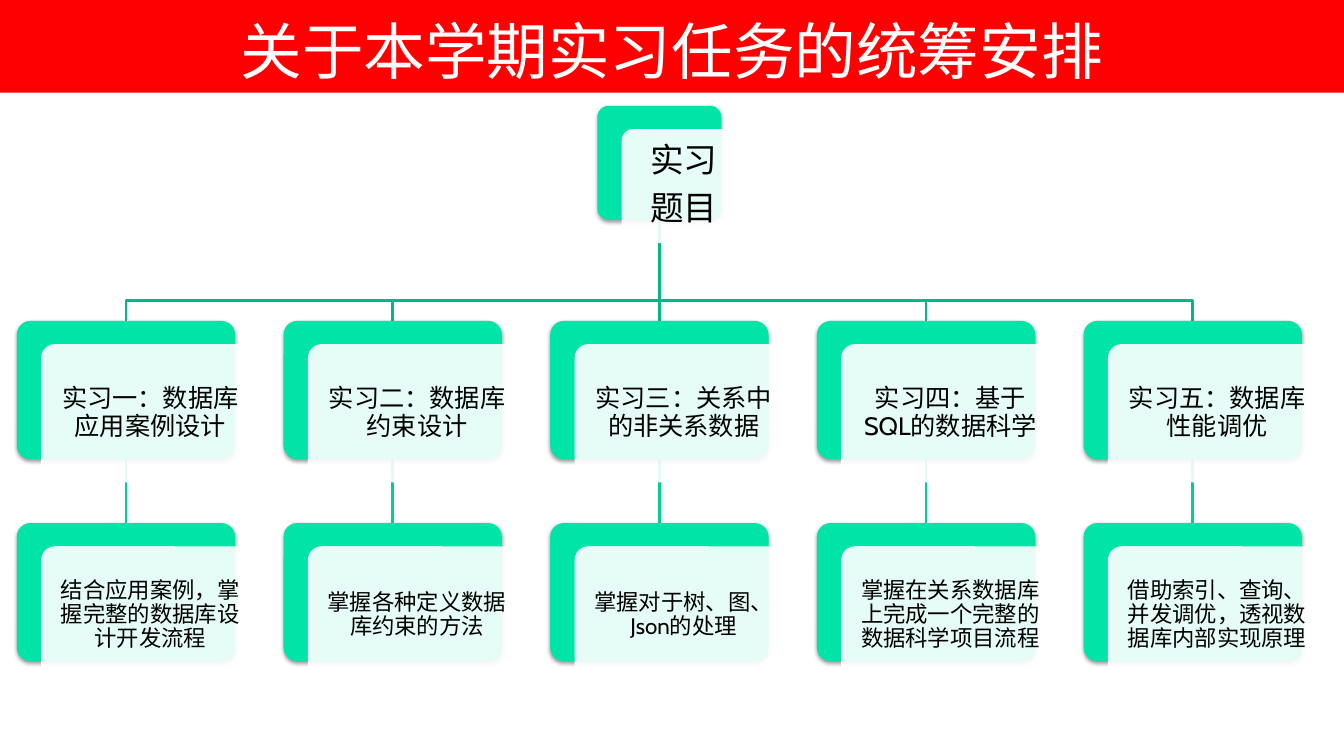
from lxml.etree import SubElement
from pptx import Presentation
from pptx.dml.color import RGBColor
from pptx.enum.shapes import MSO_CONNECTOR, MSO_SHAPE
from pptx.enum.text import MSO_ANCHOR as Anchor, PP_ALIGN as Align
from pptx.oxml.ns import qn
from pptx.util import Pt

COLORS = {
    "banner": "FF0000",
    "white": "FFFFFF",
    "text": "000000",
    "card": "00E4A8",
    "root_link": "00B787",
    "goal_link": "00CF98",
}
FONT = "Cabin"
TITLE = "关于本学期实习任务的统筹安排"
ROOT_LINES = ["实习", "题目"]
TASKS = [
    ("实习一：数据库应用案例设计", "结合应用案例，掌握完整的数据库设计开发流程"),
    ("实习二：数据库约束设计", "掌握各种定义数据库约束的方法"),
    ("实习三：关系中的非关系数据", "掌握对于树、图、Json的处理"),
    ("实习四：基于SQL的数据科学", "掌握在关系数据库上完成一个完整的数据科学项目流程"),
    ("实习五：数据库性能调优", "借助索引、查询、并发调优，透视数据库内部实现原理"),
]

SLIDE_W, SLIDE_H = 960, 540
CARD_W, CARD_H = 156, 98.8
ROOT_W, ROOT_H = 88.6, 81.4
FIRST_LEFT, COLUMN_STEP = 12, 190.5
ROOT_TOP, TASK_TOP, GOAL_TOP = 75.6, 229.2, 373.6
BRANCH_Y = 214.6
PANEL_DX, PANEL_DY = 17.4, 16.6


def color(name):
    return RGBColor.from_string(COLORS[name])


def add_box(slide, kind, left, top, width, height, fill):
    shape = slide.shapes.add_shape(kind, Pt(left), Pt(top), Pt(width), Pt(height))
    shape.shadow.inherit = False
    shape.fill.solid()
    shape.fill.fore_color.rgb = color(fill)
    shape.line.fill.background()
    return shape


def write_text(shape, lines, size, text_color, anchor, space_after=0):
    frame = shape.text_frame
    frame.word_wrap = True
    frame.vertical_anchor = anchor
    frame.text = "\n".join(lines)
    for paragraph in frame.paragraphs:
        paragraph.alignment = Align.CENTER
        paragraph.line_spacing = 0.9
        paragraph.space_after = Pt(space_after)
        paragraph.font.size = Pt(size)
        paragraph.font.name = FONT
        paragraph.font.color.rgb = color(text_color)


def add_shadow(shape):
    effects = shape._element.spPr.find(qn("a:effectLst"))
    shadow = SubElement(effects, qn("a:outerShdw"), blurRad=str(Pt(3.1)),
                        dist=str(Pt(1.6)), dir="5400000", rotWithShape="0")
    shade = SubElement(shadow, qn("a:srgbClr"), val=COLORS["text"])
    SubElement(shade, qn("a:alpha"), val="38000")


def add_card(slide, left, top, width, height, lines, size, inset):
    """Add a green card with a translucent text panel offset to its lower right."""
    back = add_box(slide, MSO_SHAPE.ROUNDED_RECTANGLE, left, top, width, height, "card")
    add_shadow(back)
    panel = add_box(slide, MSO_SHAPE.ROUNDED_RECTANGLE, left + PANEL_DX,
                    top + PANEL_DY, width, height, "white")
    panel_color = panel._element.spPr.find(qn("a:solidFill")).find(qn("a:srgbClr"))
    SubElement(panel_color, qn("a:alpha"), val="90000")
    for shape in (back, panel):
        shape.adjustments[0] = 0.1
    frame = panel.text_frame
    frame.margin_left = frame.margin_right = Pt(inset)
    frame.margin_top = frame.margin_bottom = Pt(inset)
    write_text(panel, lines, size, "text", Anchor.MIDDLE, space_after=0.35 * size)


def style_line(line, line_color):
    line.color.rgb = color(line_color)
    line.width = Pt(2)


def add_vertical_link(slide, x, top, bottom, line_color):
    link = slide.shapes.add_connector(MSO_CONNECTOR.STRAIGHT,
                                      Pt(x), Pt(top), Pt(x), Pt(bottom))
    SubElement(link._element.spPr, qn("a:effectLst"))
    style_line(link.line, line_color)


def add_branch(slide, root_x, task_x):
    """Link the root to a task with an elbow, or straight down when aligned."""
    root_bottom = ROOT_TOP + ROOT_H
    if task_x == root_x:
        add_vertical_link(slide, root_x, root_bottom, TASK_TOP, "root_link")
        return
    corners = [(root_x, BRANCH_Y), (task_x, BRANCH_Y), (task_x, TASK_TOP)]
    builder = slide.shapes.build_freeform(Pt(root_x), Pt(root_bottom))
    builder.add_line_segments([(Pt(x), Pt(y)) for x, y in corners], close=False)
    branch = builder.convert_to_shape()
    branch.shadow.inherit = False
    branch.fill.background()
    style_line(branch.line, "root_link")


def main():
    presentation = Presentation()
    presentation.slide_width, presentation.slide_height = Pt(SLIDE_W), Pt(SLIDE_H)
    slide = presentation.slides.add_slide(presentation.slide_layouts[6])

    banner = add_box(slide, MSO_SHAPE.RECTANGLE, 0, 0, SLIDE_W, 66.2, "banner")
    write_text(banner, [TITLE], 44, "white", Anchor.BOTTOM)

    lefts = [FIRST_LEFT + COLUMN_STEP * column for column in range(len(TASKS))]
    centers = [left + CARD_W / 2 for left in lefts]
    root_x = centers[len(centers) // 2]
    for center in centers:
        add_vertical_link(slide, center, TASK_TOP + CARD_H, GOAL_TOP, "goal_link")
        add_branch(slide, root_x, center)

    add_card(slide, root_x - ROOT_W / 2, ROOT_TOP, ROOT_W, ROOT_H, ROOT_LINES, 24, 7.2)
    for left, (task, goal) in zip(lefts, TASKS):
        add_card(slide, left, TASK_TOP, CARD_W, CARD_H, [task], 18, 5)
        add_card(slide, left, GOAL_TOP, CARD_W, CARD_H, [goal], 16, 5)

    presentation.save("out.pptx")


if __name__ == "__main__":
    main()
